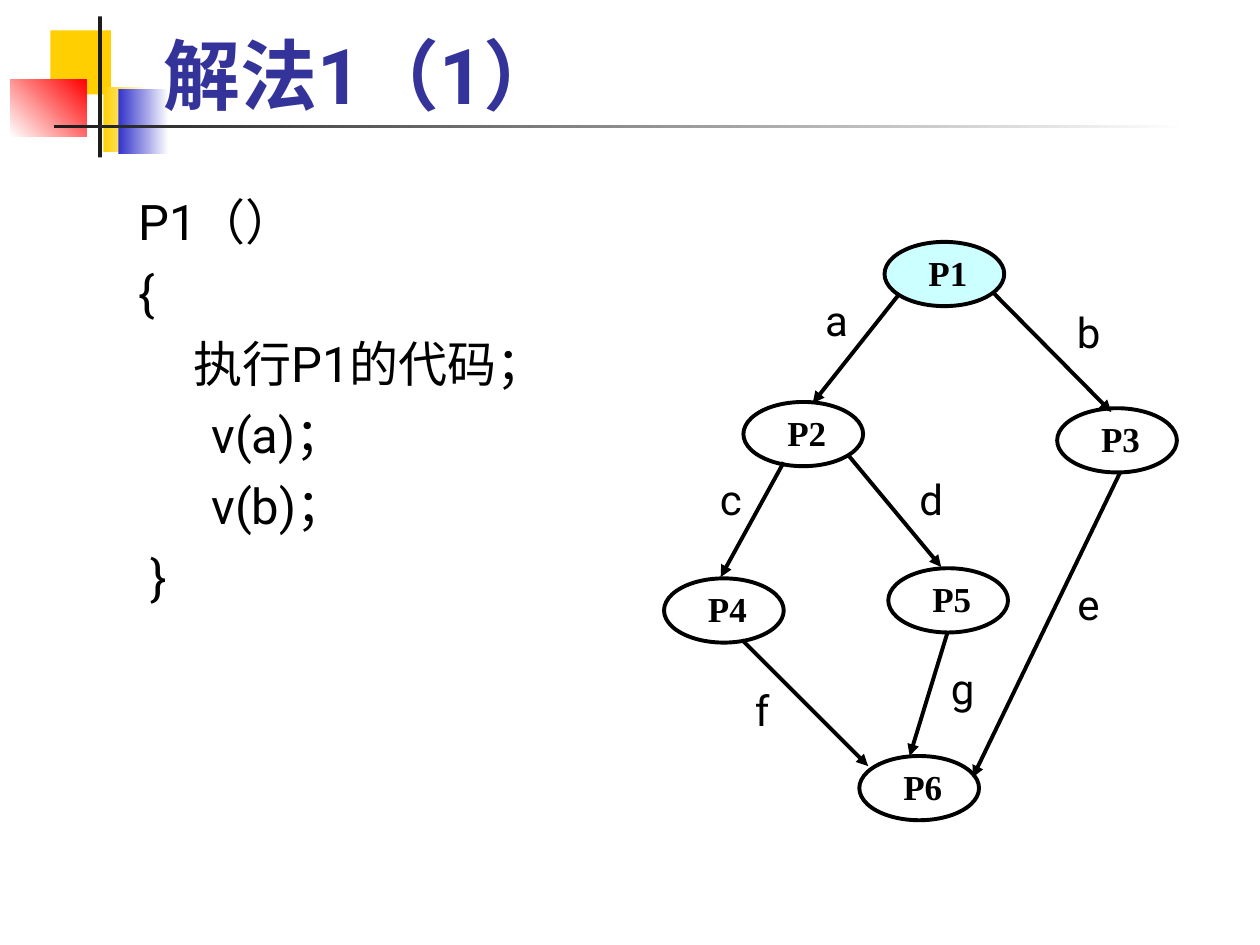
from pptx import Presentation
from pptx.dml.color import RGBColor
from pptx.enum.shapes import MSO_CONNECTOR, MSO_SHAPE
from pptx.enum.text import MSO_ANCHOR, MSO_AUTO_SIZE, PP_ALIGN
from pptx.oxml.ns import qn
from pptx.util import Inches, Pt
from lxml import etree

RECT, OVAL = MSO_SHAPE.RECTANGLE, MSO_SHAPE.OVAL
STRAIGHT = MSO_CONNECTOR.STRAIGHT
LEFT, CENTER, JUSTIFY = PP_ALIGN.LEFT, PP_ALIGN.CENTER, PP_ALIGN.JUSTIFY
TOP, MIDDLE, BOTTOM = MSO_ANCHOR.TOP, MSO_ANCHOR.MIDDLE, MSO_ANCHOR.BOTTOM

COLS, ROWS = 100, 75  # square grid cells of 0.1 inch
NODE_W, NODE_H = 9.5, 5.1
LABEL_W, LABEL_H = 5, 4.2

# left, top, width, height, first colour, last colour, angle
ORNAMENTS = [
    (4, 2.4, 4.8, 5.1, "FFCF01", None, 0),
    (8.2, 6.9, 3.6, 5.2, "FFCF01", "FFFFFF", 0),
    (9.4, 7.1, 4, 5.1, "3333CC", "FFFFFF", 0),
    (0.8, 6.3, 6.1, 4.5, "FFFFFF", "FF0000", 45),
    (7.8, 1.3, 0.3, 11.2, "1C1C1C", None, 0),
    (4.3, 9.9, 90, 0.3, "1C1C1C", "FFFFFF", 0),
]
CODE = ["P1（）", "{", "     执行P1的代码；", "      v(a)；", "      v(b)；", " }"]
# name, left, top, fill
NODES = [
    ("P1", 70.2, 19.2, "CCFFFF"),
    ("P2", 59, 31.9, "FFFFFF"),
    ("P3", 83.9, 32.4, "FFFFFF"),
    ("P4", 52.7, 45.9, "FFFFFF"),
    ("P5", 70.5, 45.1, "FFFFFF"),
    ("P6", 68.2, 60, "FFFFFF"),
]
# name, start, end, label corner
EDGES = [
    ("a", (71.4, 23.3), (64.5, 32), (63.9, 23.3)),
    ("b", (78.9, 23.3), (88.2, 32.7), (83.9, 24.2)),
    ("c", (62.2, 36.7), (57.2, 45.8), (55.5, 37.5)),
    ("d", (67.3, 36.1), (74.7, 45), (71.4, 37.5)),
    ("e", (88.9, 37.5), (77.2, 61.7), (83.9, 45.8)),
    ("f", (58.9, 50.8), (68.9, 60.8), (58, 54.2)),
    ("g", (75.2, 50.2), (72.2, 60), (73.9, 52.5)),
]


def color(value):
    return RGBColor.from_string(value)


class Deck:
    """Holds the text styles and the current slide."""

    TITLE = dict(name="Roboto", size=Pt(44), bold=True, rgb="333399")
    CODE = dict(name="Roboto", size=Pt(28), bold=False, rgb="000000")
    NODE = dict(name="Times New Roman", size=Pt(20), bold=True, rgb="000000")
    LABEL = dict(name="Roboto", size=Pt(24), bold=False, rgb="000000")
    INK, LINE = "000000", Pt(2.25)

    def __init__(self, width, height):
        self.prs = Presentation()
        self.prs.slide_width, self.prs.slide_height = Inches(width), Inches(height)
        self.cell_w = self.prs.slide_width / COLS
        self.cell_h = self.prs.slide_height / ROWS

    def new_slide(self, layout):
        self.s = self.prs.slides.add_slide(self.prs.slide_layouts[layout])

    def grid(self, *cells):
        """Turns alternating columns and rows into lengths."""
        return [round(c * (self.cell_h if i % 2 else self.cell_w))
                for i, c in enumerate(cells)]

    def put_text(self, tf, lines, style, align, anchor):
        tf.vertical_anchor = anchor
        for i, line in enumerate(lines):
            p = tf.paragraphs[0] if i == 0 else tf.add_paragraph()
            p.alignment = align
            r = p.add_run()
            r.text = line
            for key, value in style.items():
                if key == "rgb":
                    r.font.color.rgb = color(value)
                else:
                    setattr(r.font, key, value)

    def no_margins(self, tf):
        tf.margin_left = tf.margin_top = tf.margin_right = tf.margin_bottom = 0

    def placeholder(self, idx, box, lines, style, align, anchor):
        sp = self.s.placeholders[idx]
        sp.left, sp.top, sp.width, sp.height = self.grid(*box)
        self.s.shapes._spTree.append(sp._element)  # in front of the ornaments
        sp.text_frame.auto_size = MSO_AUTO_SIZE.NONE
        self.put_text(sp.text_frame, lines, style, align, anchor)
        return sp.text_frame

    def title(self, box, text):
        self.placeholder(0, box, [text], self.TITLE, LEFT, BOTTOM)

    def code(self, box, lines):
        tf = self.placeholder(1, box, lines, self.CODE, JUSTIFY, TOP)
        for i, p in enumerate(tf.paragraphs):
            p.space_before = Pt(7 if i else 0)
            pPr = p._p.get_or_add_pPr()
            pPr.set("marL", str(Inches(0.38)))
            pPr.set("indent", str(-Inches(0.38)))
            etree.SubElement(pPr, qn("a:buNone"))

    def shape(self, kind, box):
        sp = self.s.shapes.add_shape(kind, *self.grid(*box))
        sp.shadow.inherit = False
        return sp

    def ornament(self, left, top, width, height, first, last, angle):
        sp = self.shape(RECT, (left, top, width, height))
        sp.line.fill.background()
        if last is None:
            sp.fill.solid()
            sp.fill.fore_color.rgb = color(first)
            return
        sp.fill.gradient()
        sp.fill.gradient_angle = angle
        for stop, value in zip(sp.fill.gradient_stops, (first, last)):
            stop.color.rgb = color(value)

    def node(self, name, left, top, fill):
        sp = self.shape(OVAL, (left, top, NODE_W, NODE_H))
        sp.fill.solid()
        sp.fill.fore_color.rgb = color(fill)
        sp.line.color.rgb = color(self.INK)
        sp.line.width = self.LINE
        self.no_margins(sp.text_frame)
        sp.text_frame.margin_left = Inches(0.21)
        self.put_text(sp.text_frame, [name], self.NODE, LEFT, TOP)

    def arrow(self, start, end):
        cn = self.s.shapes.add_connector(STRAIGHT, *self.grid(*start, *end))
        cn.line.color.rgb = color(self.INK)
        cn.line.width = self.LINE
        etree.SubElement(cn.line._get_or_add_ln(), qn("a:tailEnd"), type="triangle")
        etree.SubElement(cn._element.spPr, qn("a:effectLst"))

    def label(self, text, corner):
        sp = self.s.shapes.add_textbox(*self.grid(*corner, LABEL_W, LABEL_H))
        tf = sp.text_frame
        tf.word_wrap = False
        self.no_margins(tf)
        self.put_text(tf, [text], self.LABEL, CENTER, MIDDLE)


def main():
    deck = Deck(10, 7.5)
    deck.new_slide(1)

    # Corner ornaments and rule
    for ornament in ORNAMENTS:
        deck.ornament(*ornament)

    # Title and code
    deck.title((12, 1.7, 85.2, 8.3), "解法1（1）")
    deck.code((10, 14.7, 40, 42.5), CODE)

    # Precedence graph
    for node in NODES:
        deck.node(*node)
    for name, start, end, corner in EDGES:
        deck.arrow(start, end)
        deck.label(name, corner)

    deck.prs.save("out.pptx")


if __name__ == "__main__":
    main()
